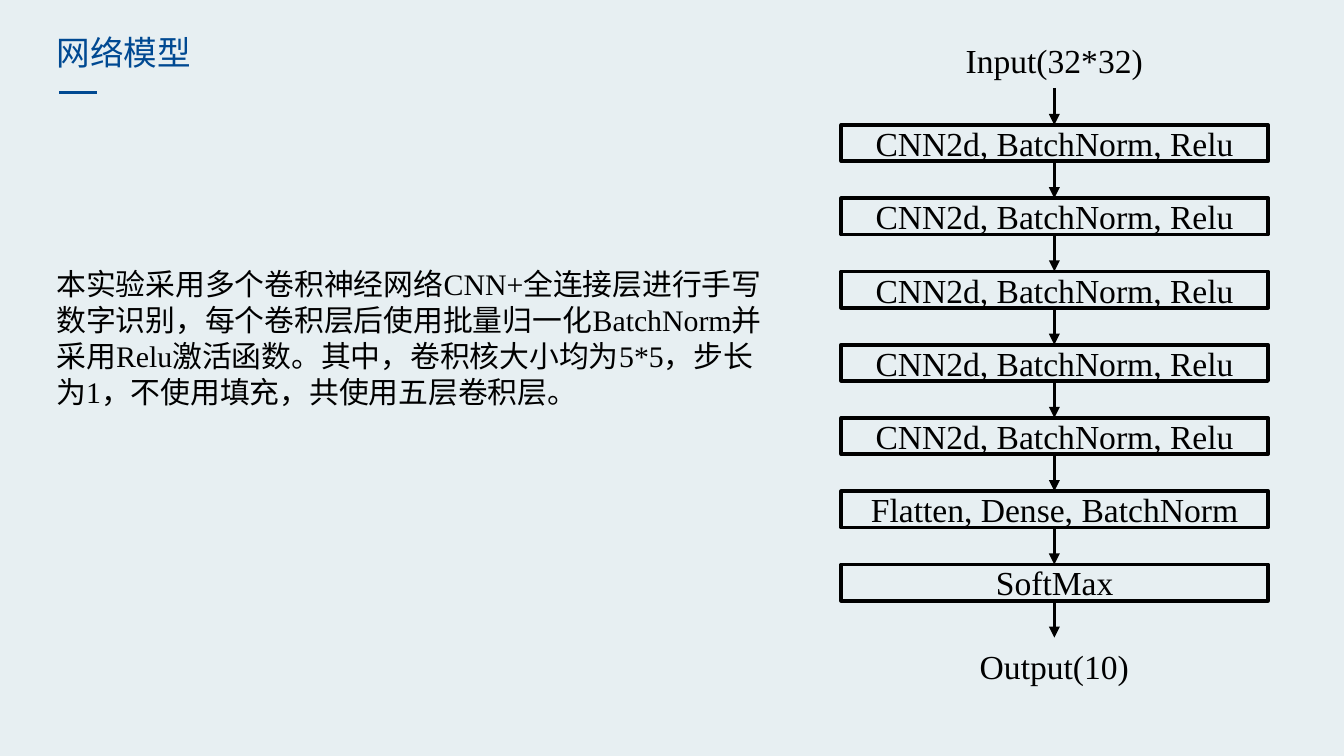
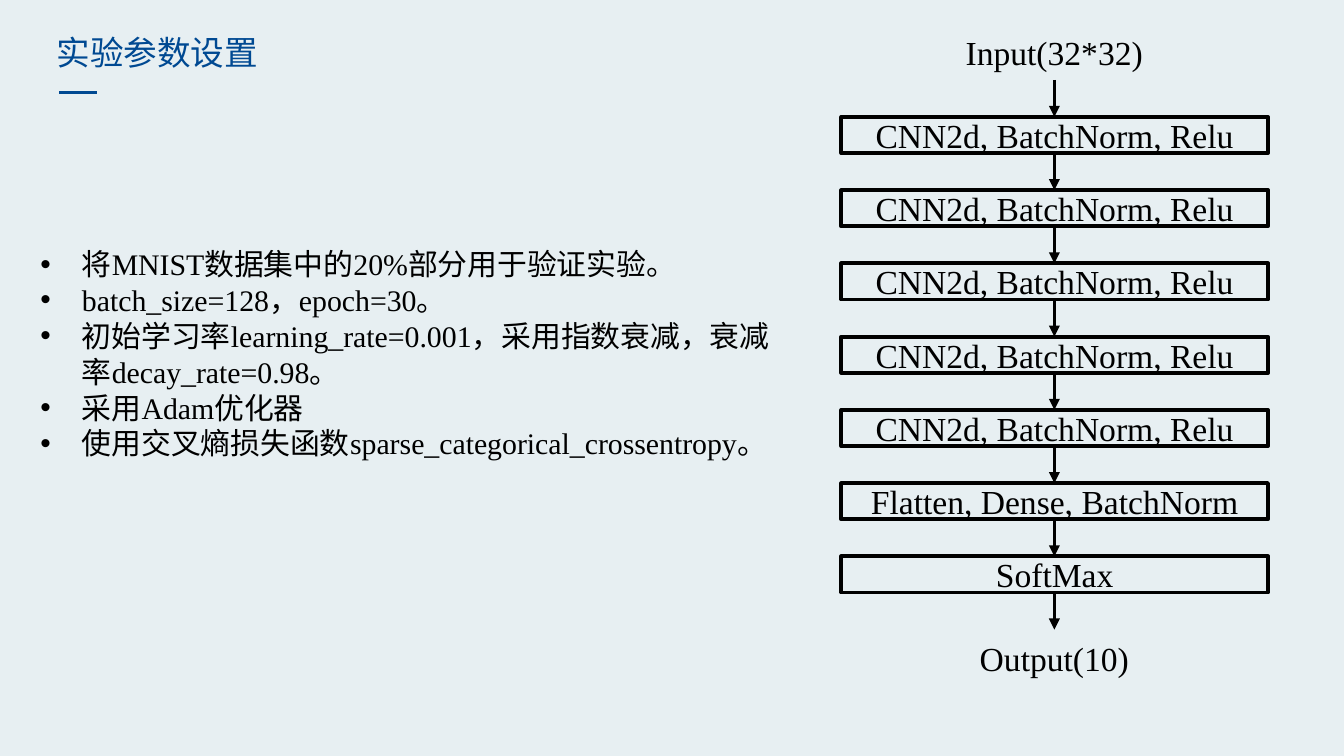
from pptx import Presentation
from pptx.dml.color import RGBColor
from pptx.enum.shapes import MSO_CONNECTOR, MSO_SHAPE
from pptx.enum.text import MSO_ANCHOR, MSO_AUTO_SIZE, PP_ALIGN
from pptx.oxml.ns import qn
from pptx.util import Pt
from lxml.etree import SubElement

SCALE = 4572
INK = "000000"
BLUE = "004992"
BACKGROUND = "E7EFF2"
LATIN = "Times New Roman"
HAN = "Noto Sans CJK SC"
BULLET_INDENT = 62

LAYERS = ["CNN2d, BatchNorm, Relu"] * 5 + ["Flatten, Dense, BatchNorm", "SoftMax"]
MODEL_TEXT = [
    "本实验采用多个卷积神经网络CNN+全连接层进行手写数字识别，每个卷积层后使用批量归一化BatchNorm"
    "并采用Relu激活函数。其中，卷积核大小均为5*5，步长为1，不使用填充，共使用五层卷积层。",
]
SETTINGS = [
    "将MNIST数据集中的20%部分用于验证实验。",
    "batch_size=128，epoch=30。",
    "初始学习率learning_rate=0.001，采用指数衰减，衰减率decay_rate=0.98。",
    "采用Adam优化器",
    "使用交叉熵损失函数sparse_categorical_crossentropy。",
]


def px(*lengths):
    return [length * SCALE for length in lengths]


def color(hex_string):
    return RGBColor.from_string(hex_string)


def place(shape, box):
    shape.left, shape.top, shape.width, shape.height = px(*box)


def write(para, text, size, font=LATIN, ink=INK, align=PP_ALIGN.LEFT):
    para.alignment = align
    para.space_before = Pt(0)
    span = para.add_run()
    span.text = text
    span.font.size = Pt(size)
    span.font.name = font
    span.font.color.rgb = color(ink)
    SubElement(span.font._element, qn("a:ea"), typeface=HAN)


def add_line(shapes, start, end, ink, arrow=False):
    line = shapes.add_connector(MSO_CONNECTOR.STRAIGHT, *px(*start, *end))
    line.line.color.rgb = color(ink)
    line.line.width = Pt(1.5)
    if arrow:
        SubElement(line.line._get_or_add_ln(), qn("a:tailEnd"), type="triangle")
    SubElement(line._element.spPr, qn("a:effectLst"))


def add_title(page, text):
    title = page.shapes.title
    place(title, (64, 38, 52 + 50 * len(text), 80))
    frame = title.text_frame
    frame.word_wrap = True
    frame.auto_size = MSO_AUTO_SIZE.NONE
    frame.vertical_anchor = MSO_ANCHOR.TOP
    write(frame.paragraphs[0], text, 18, HAN, BLUE)
    add_line(page.shapes, (88, 138), (144, 138), BLUE)


def add_body(page, box, texts, bulleted):
    body = page.placeholders[1]
    place(body, box)
    frame = body.text_frame
    frame.word_wrap = True
    frame.auto_size = MSO_AUTO_SIZE.NONE
    indent = BULLET_INDENT * SCALE if bulleted else 0
    for index, text in enumerate(texts):
        para = frame.add_paragraph() if index else frame.paragraphs[0]
        write(para, text, 16)
        properties = para._p.get_or_add_pPr()
        properties.set("marL", str(indent))
        properties.set("indent", str(-indent))
        if not bulleted:
            SubElement(properties, qn("a:buNone"))


def add_layer(shapes, box, text):
    layer = shapes.add_shape(MSO_SHAPE.RECTANGLE, *px(*box))
    layer.shadow.inherit = False
    layer.fill.background()
    layer.line.color.rgb = color(INK)
    layer.line.width = Pt(2)
    layer.text_frame.vertical_anchor = MSO_ANCHOR.MIDDLE
    write(layer.text_frame.paragraphs[0], text, 18, align=PP_ALIGN.CENTER)


def add_label(shapes, center, top, width, text):
    label = shapes.add_textbox(*px(center - width // 2, top, width, 80))
    label.text_frame.word_wrap = False
    write(label.text_frame.paragraphs[0], text, 18, align=PP_ALIGN.CENTER)


def add_network(page, box):
    left, top, width, height = box
    layer_height, pitch = 54, 109
    gap = pitch - layer_height
    center = left + width // 2
    first = top + 136
    shapes = page.shapes.add_group_shape().shapes
    for index, text in enumerate(LAYERS):
        add_layer(shapes, (left, first + index * pitch, width, layer_height), text)
    add_label(shapes, center, top, 306, "Input(32*32)")
    add_label(shapes, center, top + height - 80, 264, "Output(10)")
    for index in range(len(LAYERS) + 1):
        tip = first + index * pitch
        add_line(shapes, (center, tip - gap), (center, tip), INK, arrow=True)


def add_page(deck, title, texts, body_box, network_top, bulleted=False):
    page = deck.slides.add_slide(deck.slide_layouts[1])
    add_network(page, (1252, network_top, 635, 982))
    add_title(page, title)
    add_body(page, body_box, texts, bulleted)


def main():
    deck = Presentation()
    deck.slide_width, deck.slide_height = px(2000, 1125)
    fill = deck.slide_master.background.fill
    fill.solid()
    fill.fore_color.rgb = color(BACKGROUND)
    add_page(deck, "网络模型", MODEL_TEXT, (64, 386, 1090, 236), 50)
    add_page(deck, "实验参数设置", SETTINGS, (40, 356, 1150, 344), 38, bulleted=True)
    deck.save("out.pptx")


if __name__ == "__main__":
    main()
